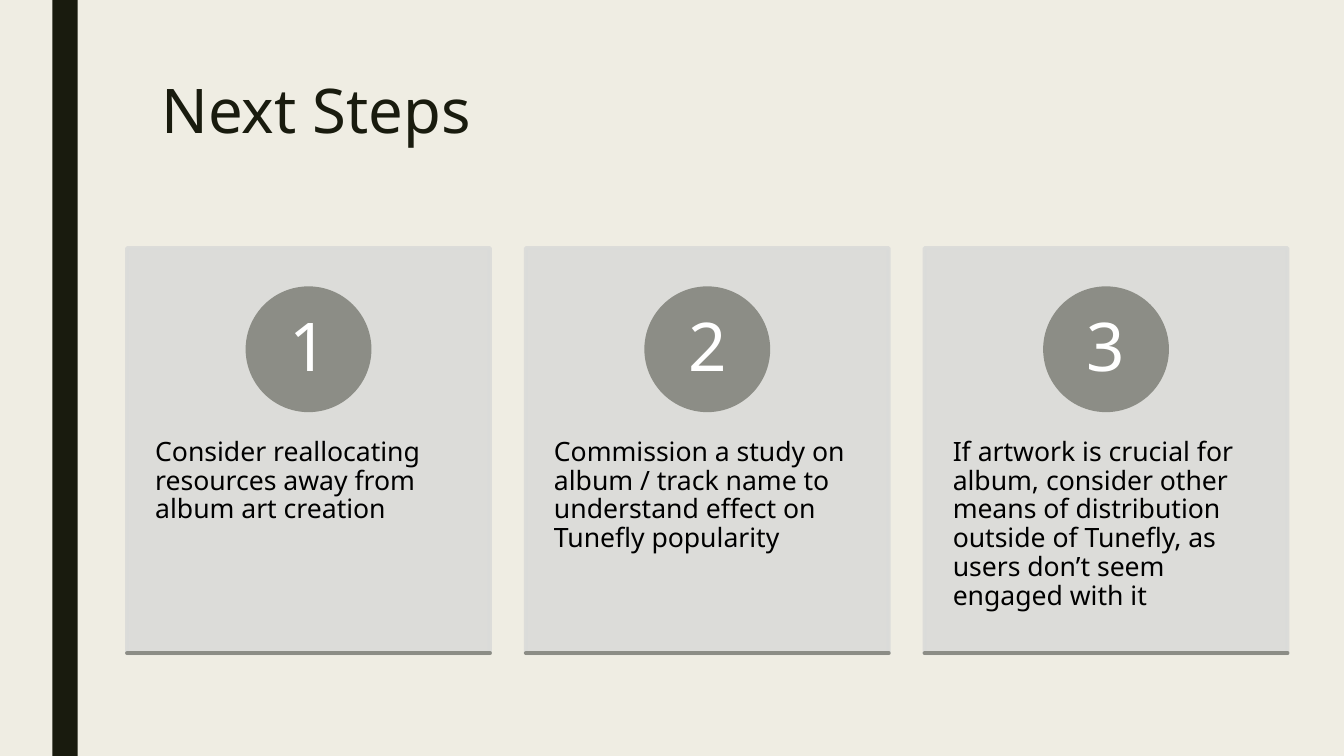
from lxml import etree
from pptx import Presentation
from pptx import util as u
from pptx.dml.color import RGBColor
from pptx.enum import shapes, text
from pptx.oxml.ns import qn

COLORS = {"background": "EFEDE3", "dark": "191B0E", "card": "DADBD9",
          "accent": "8C8D86", "body": "000000", "number": "FFFFFF"}
STEPS = [
    "Consider reallocating resources away from album art creation",
    "Commission a study on album / track name to understand effect on "
    "Tunefly popularity",
    "If artwork is crucial for album, consider other means of distribution "
    "outside of Tunefly, as users don’t seem engaged with it",
]
CARD_LEFT, CARD_TOP, CARD_WIDTH, CARD_HEIGHT = 1.26, 2.46, 3.6, 4.02
CARD_PITCH = 3.955
CIRCLE_SIZE = 1.21


def write_text(shape, content, size, color, align=text.PP_ALIGN.LEFT,
               anchor=text.MSO_ANCHOR.TOP, margins=(0.1, 0.05), spacing=0.9):
    """Fill a shape with one formatted paragraph."""
    frame = shape.text_frame
    frame.word_wrap = True
    frame.auto_size = text.MSO_AUTO_SIZE.NONE
    frame.vertical_anchor = anchor
    frame.margin_left = frame.margin_right = u.Inches(margins[0])
    frame.margin_top = frame.margin_bottom = u.Inches(margins[1])
    paragraph = frame.paragraphs[0]
    paragraph.alignment = align
    paragraph.line_spacing = spacing
    run = paragraph.add_run()
    run.text = content
    run.font.name = "Noto Sans"
    run.font.size = u.Pt(size)
    run.font.color.rgb = RGBColor.from_string(COLORS[color])


def add_block(kind, left, top, width, height, color, outlined=True, opacity=100):
    """Add a preset shape whose fill and outline share one colour."""
    shape = slide.shapes.add_shape(kind, u.Inches(left), u.Inches(top),
                                   u.Inches(width), u.Inches(height))
    shape.shadow.inherit = False
    shape.fill.solid()
    shape.fill.fore_color.rgb = RGBColor.from_string(COLORS[color])
    if outlined:
        shape.line.color.rgb = RGBColor.from_string(COLORS[color])
        shape.line.width = u.Pt(2.75)
    else:
        shape.line.fill.background()
    if opacity < 100:
        for fill_color in shape._element.spPr.iter(qn("a:srgbClr")):
            etree.SubElement(fill_color, qn("a:alpha"), val=str(opacity * 1000))
    return shape


presentation = Presentation()
presentation.slide_width = u.Inches(13.33)
presentation.slide_height = u.Inches(7.5)
slide = presentation.slides.add_slide(presentation.slide_layouts[5])
slide.background.fill.solid()
slide.background.fill.fore_color.rgb = RGBColor.from_string(COLORS["background"])

add_block(shapes.MSO_SHAPE.RECTANGLE, 0.52, 0, 0.25, 7.5, "dark", outlined=False)

title = slide.shapes.title
title.left, title.top = u.Inches(1.5), u.Inches(0.75)
title.width, title.height = u.Inches(10.5), u.Inches(1.62)
write_text(title, "Next Steps", size=44, color="dark", spacing=0.89)

for index, step in enumerate(STEPS):
    left = CARD_LEFT + index * CARD_PITCH
    add_block(shapes.MSO_SHAPE.RECTANGLE, left, CARD_TOP, CARD_WIDTH, CARD_HEIGHT,
              "card", opacity=90)

    description = slide.shapes.add_textbox(u.Inches(left), u.Inches(3.99),
                                           u.Inches(CARD_WIDTH), u.Inches(2.41))
    write_text(description, step, size=19, color="body", margins=(0.28, 0.36))

    circle = add_block(shapes.MSO_SHAPE.OVAL, left + (CARD_WIDTH - CIRCLE_SIZE) / 2,
                       2.86, CIRCLE_SIZE, CIRCLE_SIZE, "accent")
    write_text(circle, str(index + 1), size=48, color="number",
               align=text.PP_ALIGN.CENTER, anchor=text.MSO_ANCHOR.MIDDLE,
               margins=(0.09, 0.01))

    bottom = u.Inches(CARD_TOP + CARD_HEIGHT)
    rule = slide.shapes.add_connector(shapes.MSO_CONNECTOR.STRAIGHT, u.Inches(left),
                                      bottom, u.Inches(left + CARD_WIDTH), bottom)
    rule.line.color.rgb = RGBColor.from_string(COLORS["accent"])
    rule.line.width = u.Pt(2.75)
    rule.line._ln.set("cap", "rnd")
    etree.SubElement(rule._element.spPr, qn("a:effectLst"))

presentation.save("out.pptx")
